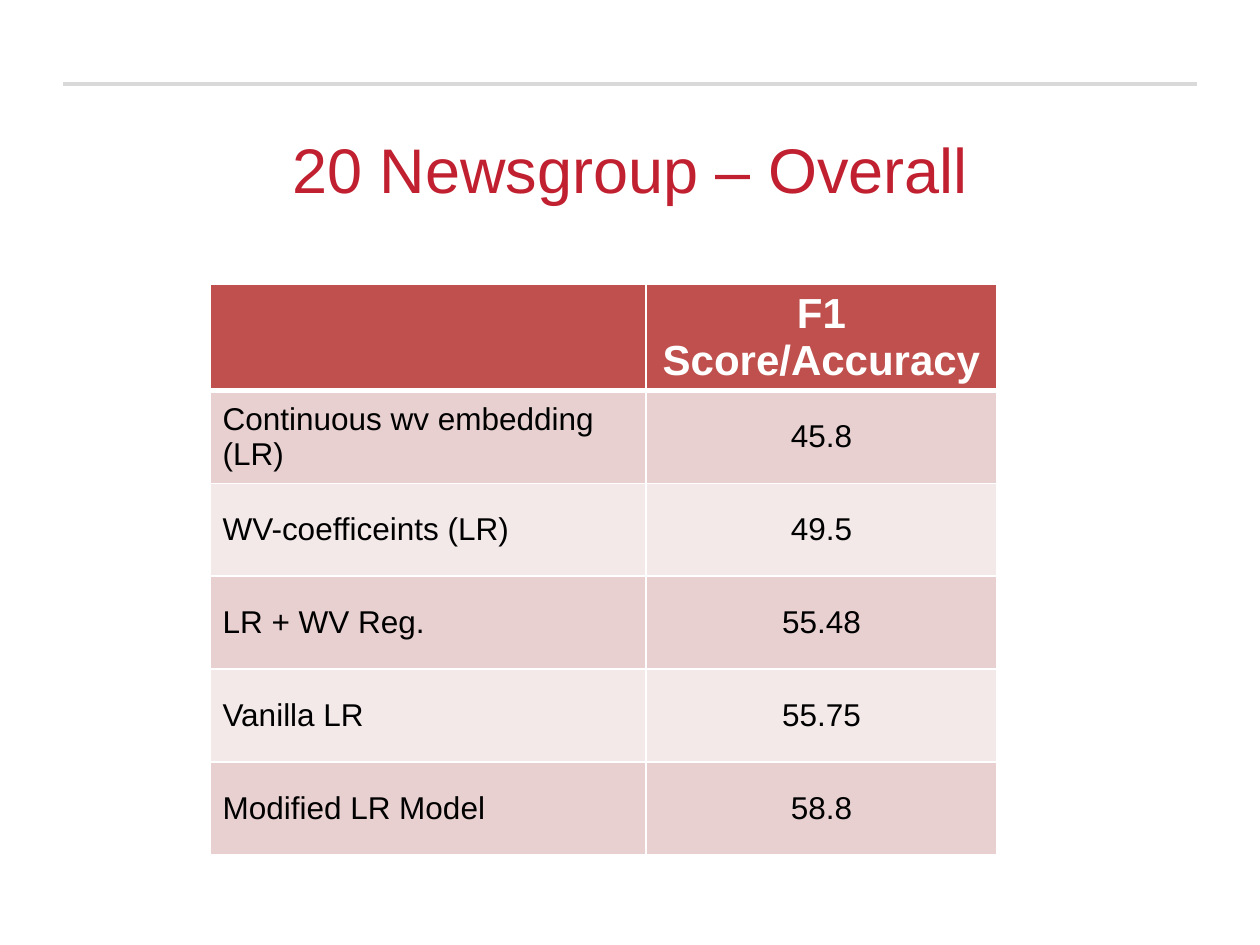
from lxml import etree
from pptx import Presentation
from pptx import util as u
from pptx.dml.color import RGBColor
from pptx.enum import shapes, text
from pptx.oxml import ns

RED = RGBColor(0xC1, 0x20, 0x30)
BRICK = RGBColor(0xC0, 0x50, 0x4D)
ROSE = RGBColor(0xE8, 0xD0, 0xD0)
BLUSH = RGBColor(0xF4, 0xE9, 0xE9)
GREY = RGBColor(0xD9, 0xD9, 0xD9)
WHITE = RGBColor(0xFF, 0xFF, 0xFF)
BLACK = RGBColor(0, 0, 0)

SCORES = [
    ("", "F1 Score/Accuracy"),
    ("Continuous wv embedding (LR)", "45.8"),
    ("WV-coefficeints (LR)", "49.5"),
    ("LR + WV Reg.", "55.48"),
    ("Vanilla LR", "55.75"),
    ("Modified LR Model", "58.8"),
]


def px(n):
    return u.Emu(round(n * 914400 / 126))


class Deck:
    """Holds the style and the current slide."""

    font = "Arial"

    def __init__(self, width, height):
        self.prs = Presentation()
        self.prs.slide_width, self.prs.slide_height = px(width), px(height)
        self.slide = self.prs.slides.add_slide(self.prs.slide_layouts[5])

    def add_text(self, tf, words, size, color, bold=False, align=text.PP_ALIGN.CENTER):
        p = tf.paragraphs[0]
        p.alignment = align
        r = p.add_run()
        r.text = words
        r.font.name, r.font.size, r.font.bold = self.font, u.Pt(size), bold
        r.font.color.rgb = color

    def title(self, words, x, y, w, h):
        sp = self.slide.shapes.title
        sp.left, sp.top, sp.width, sp.height = map(px, (x, y, w, h))
        tf = sp.text_frame
        tf.auto_size = text.MSO_AUTO_SIZE.NONE
        tf.vertical_anchor = text.MSO_ANCHOR.MIDDLE
        self.add_text(tf, words, 36, RED)

    def rule(self, x1, x2, y, color, weight):
        line = self.slide.shapes.add_connector(
            shapes.MSO_CONNECTOR.STRAIGHT, px(x1), px(y), px(x2), px(y))
        line.line.color.rgb, line.line.width = color, u.Pt(weight)
        etree.SubElement(line._element.spPr, ns.qn("a:effectLst"))

    def borders(self, cell, top, bottom):
        tcPr = cell._tc.get_or_add_tcPr()
        for side, weight in (("L", 1), ("R", 1), ("T", top), ("B", bottom)):
            ln = etree.SubElement(tcPr, ns.qn(f"a:ln{side}"), w=str(u.Pt(weight)))
            fill = etree.SubElement(ln, ns.qn("a:solidFill"))
            etree.SubElement(fill, ns.qn("a:srgbClr"), val=str(WHITE))

    def table(self, rows, x, y, widths, row_height):
        table = self.slide.shapes.add_table(
            len(rows), len(widths), px(x), px(y),
            px(sum(widths)), px(row_height * len(rows))).table
        for column, width in zip(table.columns, widths):
            column.width = px(width)
        for i, row in enumerate(rows):
            table.rows[i].height = px(row_height)
            head = i == 0
            for j, words in enumerate(row):
                cell = table.cell(i, j)
                self.borders(cell, 3 if i == 1 else 1, 3 if head else 1)
                cell.fill.solid()
                cell.fill.fore_color.rgb = BRICK if head else ROSE if i % 2 else BLUSH
                cell.vertical_anchor = text.MSO_ANCHOR.MIDDLE
                if words:
                    self.add_text(cell.text_frame, words, 24 if head else 18,
                                  WHITE if head else BLACK, head,
                                  text.PP_ALIGN.CENTER if j else text.PP_ALIGN.LEFT)


def main():
    deck = Deck(1260, 945)
    deck.rule(63, 1197, 84, GREY, 2)
    deck.table(SCORES, 210, 284, (436, 351), 93)
    deck.title("20 Newsgroup – Overall", 63, 116, 1134, 105)
    deck.prs.save("out.pptx")


if __name__ == "__main__":
    main()
